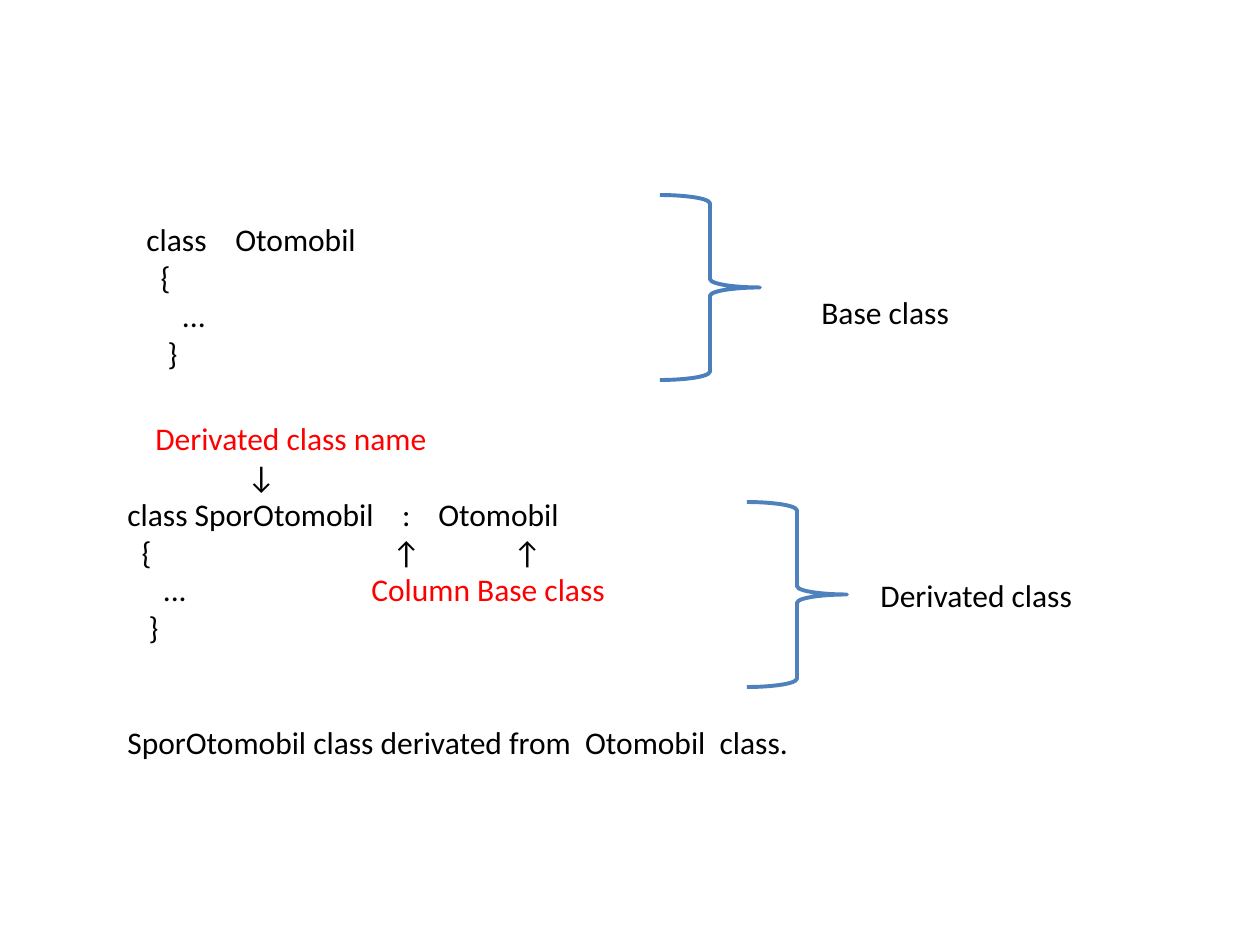
import pptx
import pptx.dml.color
import pptx.enum.shapes
import pptx.enum.text
import pptx.oxml.ns
import pptx.util
import lxml.etree

PX = 914400 / 126
BLACK = pptx.dml.color.RGBColor(0x00, 0x00, 0x00)
RED = pptx.dml.color.RGBColor(0xFF, 0x00, 0x00)
BLUE = pptx.dml.color.RGBColor(0x4F, 0x81, 0xBD)
DARK_BLUE = pptx.dml.color.RGBColor(0x4B, 0x7E, 0xBC)

BASE_CODE = [
    {"runs": [("class\tOtomobil", BLACK)], "tabs": [(89, "l")]},
    {"runs": [("  {", BLACK)]},
    {"runs": [("     ...", BLACK)]},
    {"runs": [("   }", BLACK)]},
]
DERIVED_CODE = [
    {"runs": [("\tDerivated class name", RED)], "tabs": [(28, "l")]},
    {"runs": [("\t↓", BLACK)], "tabs": [(134, "ctr")]},
    {"runs": [("class SporOtomobil\t:\tOtomobil", BLACK)], "tabs": [(279, "ctr"), (311, "l")]},
    {"runs": [("  {\t↑\t↑", BLACK)], "tabs": [(279, "ctr"), (400, "ctr")]},
    {"runs": [("     ...\t", BLACK), ("Column Base class", RED)], "tabs": [(244, "l")]},
    {"runs": [("   }", BLACK)]},
    {"runs": [("SporOtomobil class derivated from  Otomobil  class.", BLACK)], "before": 44},
]


def emu(*lengths):
    """Turn pixel lengths into EMU."""
    return [pptx.util.Emu(round(length * PX)) for length in lengths]


class SlideBuilder:
    """Hold the text style and the current slide."""

    def __init__(self, slide):
        self.slide = slide
        self.font_format = {"name": "Calibri", "size": pptx.util.Pt(18)}

    def tab_stops(self, paragraph, stops):
        """Give a paragraph its tab stops."""
        properties = paragraph._p.get_or_add_pPr()
        tab_list = lxml.etree.SubElement(properties, pptx.oxml.ns.qn("a:tabLst"))
        for position, alignment in stops:
            tab = lxml.etree.SubElement(tab_list, pptx.oxml.ns.qn("a:tab"))
            tab.set("pos", str(emu(position)[0]))
            tab.set("algn", alignment)

    def text(self, box, lines, wrap=True):
        """Add a text box with one paragraph for each line."""
        frame = self.slide.shapes.add_textbox(*emu(*box)).text_frame
        frame.word_wrap = wrap
        frame.auto_size = pptx.enum.text.MSO_AUTO_SIZE.SHAPE_TO_FIT_TEXT
        for index, line in enumerate(lines):
            paragraph = frame.add_paragraph() if index else frame.paragraphs[0]
            if "tabs" in line:
                self.tab_stops(paragraph, line["tabs"])
            if "before" in line:
                paragraph.space_before = pptx.util.Pt(line["before"])
            for content, color in line["runs"]:
                run = paragraph.add_run()
                run.text = content
                for name, value in self.font_format.items():
                    setattr(run.font, name, value)
                run.font.color.rgb = color

    def label(self, box, content):
        """Add a single unwrapped line of text."""
        self.text(box, [{"runs": [(content, BLACK)]}], wrap=False)

    def brace(self, left, top, color):
        """Add a right brace."""
        shape = self.slide.shapes.add_shape(
            pptx.enum.shapes.MSO_SHAPE.RIGHT_BRACE, *emu(left, top, 100, 185)
        )
        shape.shadow.inherit = False
        shape.fill.background()
        shape.line.color.rgb = color
        shape.line.width = pptx.util.Pt(2.25)


def main():
    """Build and save the slide."""
    presentation = pptx.Presentation()
    presentation.slide_width, presentation.slide_height = emu(1260, 945)
    builder = SlideBuilder(presentation.slides.add_slide(presentation.slide_layouts[6]))
    builder.text((115, 413, 1170, 357), DERIVED_CODE)
    builder.text((134, 214, 470, 165), BASE_CODE)
    builder.brace(660, 195, DARK_BLUE)
    builder.label((809, 287, 154, 50), "Base class")
    builder.brace(747, 502, BLUE)
    builder.label((868, 570, 219, 50), "Derivated class")
    presentation.save("out.pptx")


if __name__ == "__main__":
    main()
